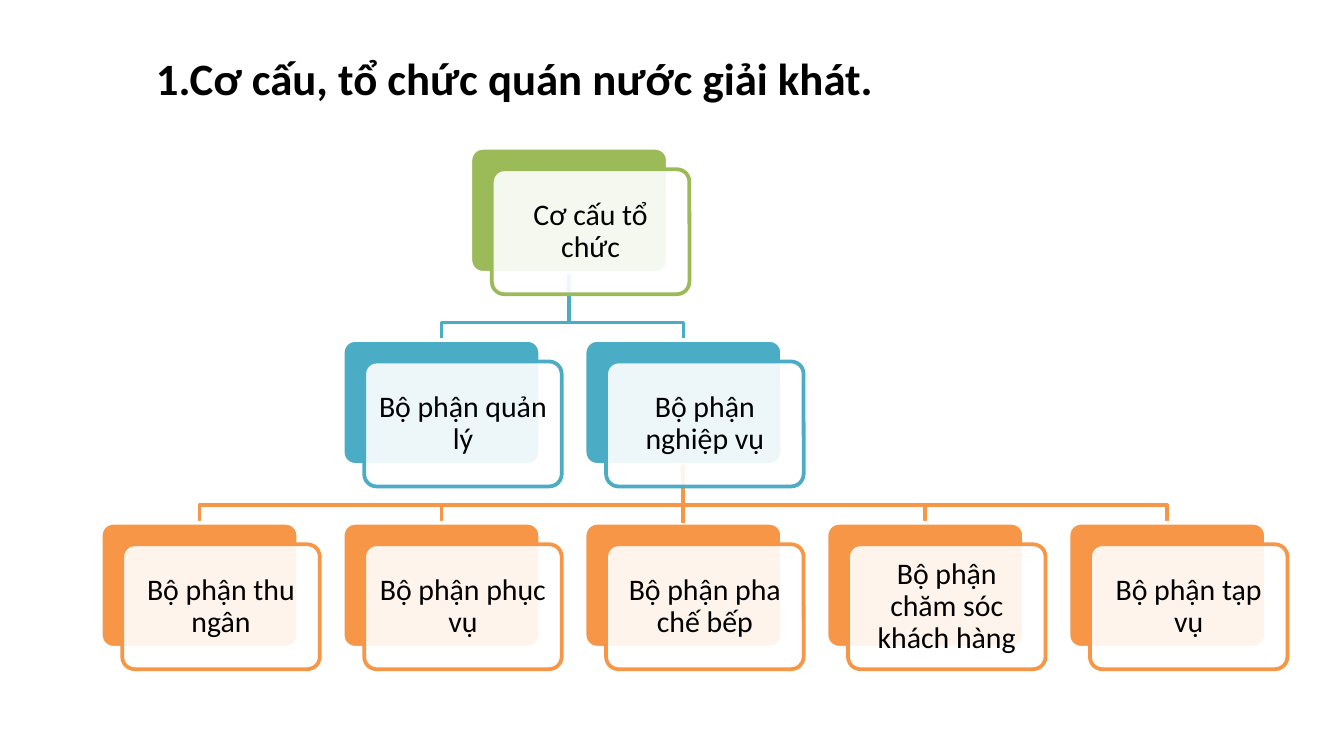
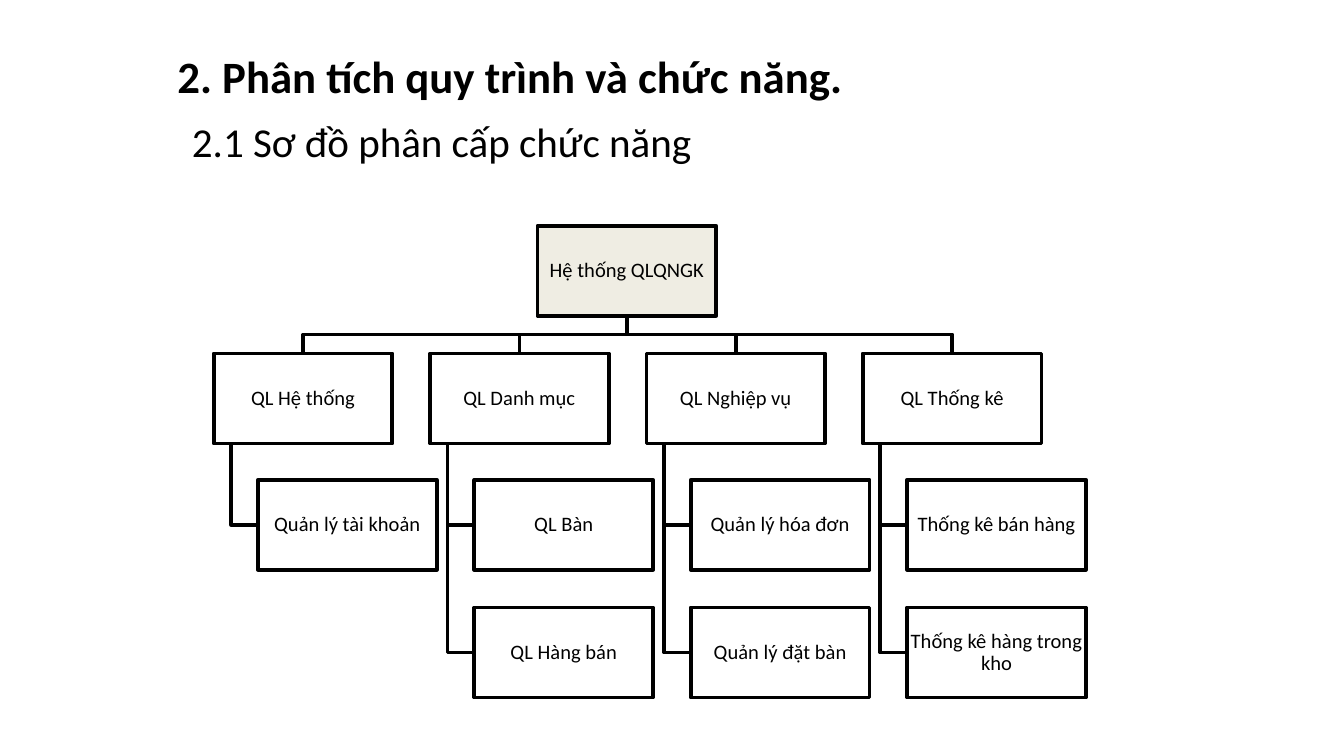
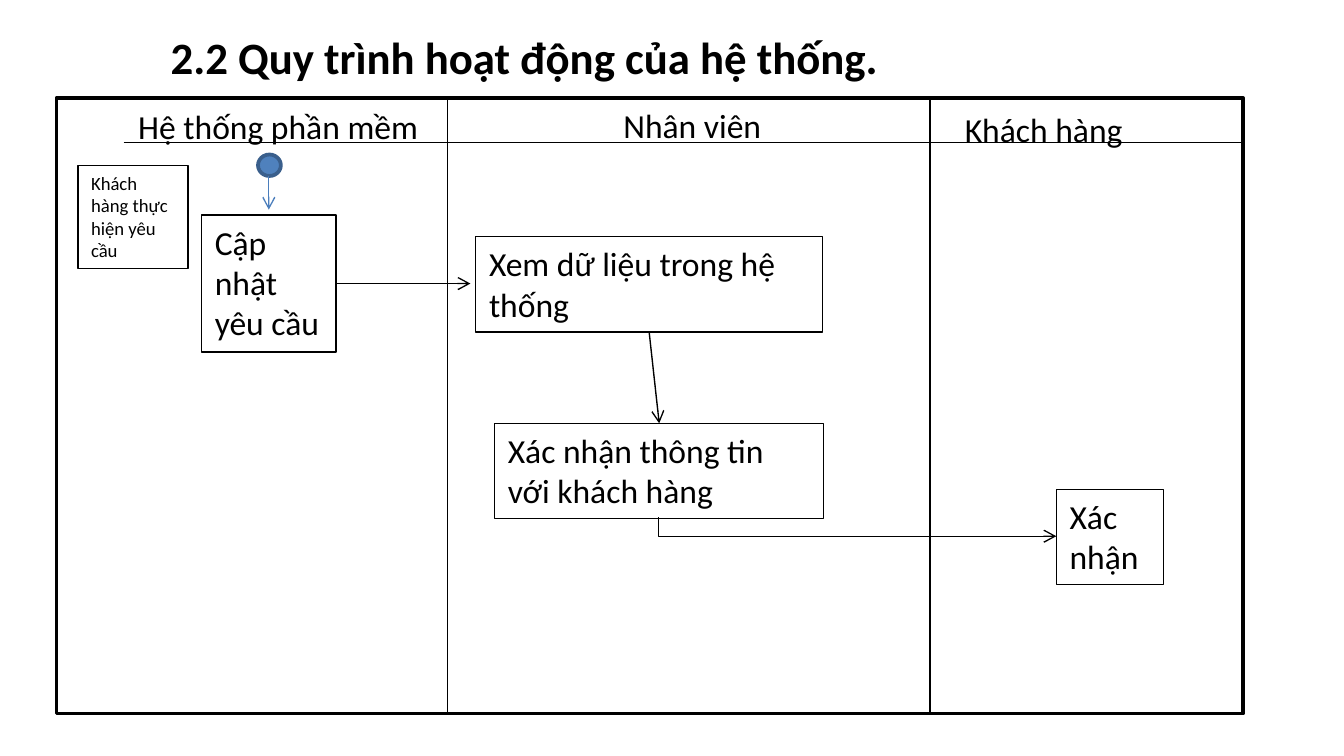
from dataclasses import dataclass

from lxml.etree import SubElement
from pptx import Presentation
from pptx.dml.color import RGBColor
from pptx.enum.shapes import MSO_CONNECTOR as Connector, MSO_SHAPE as Shape
from pptx.enum.text import MSO_ANCHOR as Anchor, MSO_AUTO_SIZE as AutoSize, PP_ALIGN as Align
from pptx.oxml.ns import qn
from pptx.util import Inches, Pt


@dataclass(frozen=True)
class Theme:
    font: str = "Calibri"
    black: str = "000000"
    white: str = "FFFFFF"
    green: str = "9BBB59"
    teal: str = "4BACC6"
    orange: str = "F79646"
    cream: str = "EEECE1"
    blue: str = "4F81BD"
    blue_edge: str = "3A5F8C"
    blue_arrow: str = "4B7EBC"
    title: int = 24
    subtitle: int = 22
    lane: int = 18
    department: int = 16
    function: int = 11
    note: int = 10
    thick: float = 2
    thin: float = 0.75


theme = Theme()


def write_text(shape, text, size, bold=False, align=Align.LEFT, spacing=1.0, inset=None, **frame_format):
    frame = shape.text_frame
    frame.text = text
    settings = {"word_wrap": True, "auto_size": AutoSize.NONE, "vertical_anchor": Anchor.TOP}
    if inset is not None:
        for side in ("left", "top", "right", "bottom"):
            settings[f"margin_{side}"] = Inches(inset)
    for name, value in (settings | frame_format).items():
        setattr(frame, name, value)
    paragraph = frame.paragraphs[0]
    paragraph.alignment = align
    paragraph.line_spacing = spacing
    font = paragraph.runs[0].font
    for name, value in {"name": theme.font, "size": Pt(size), "bold": bold}.items():
        setattr(font, name, value)
    font.color.rgb = RGBColor.from_string(theme.black)


def style_shape(shape, line, width, fill=None, opacity=100, arrow=False):
    properties = shape.element.spPr
    if fill:
        shape.fill.solid()
        shape.fill.fore_color.rgb = RGBColor.from_string(fill)
        if opacity < 100:
            color = properties.find(qn("a:solidFill")).find(qn("a:srgbClr"))
            SubElement(color, qn("a:alpha"), val=str(opacity * 1000))
    elif hasattr(shape, "fill"):
        shape.fill.background()
    shape.line.color.rgb = RGBColor.from_string(line)
    shape.line.width = Pt(width)
    if arrow:
        SubElement(properties.find(qn("a:ln")), qn("a:tailEnd"), type="arrow")
    if hasattr(shape, "shadow"):
        shape.shadow.inherit = False
    else:
        SubElement(properties, qn("a:effectLst"))


presentation = Presentation()
presentation.slide_width = Inches(10)
presentation.slide_height = Inches(10) * 9 // 16

slides = []
for text, left, top, width in [
    ("1.Cơ cấu, tổ chức quán nước giải khát.", 1.06, 0.33, 6.77),
    ("2. Phân tích quy trình và chức năng.", 1.22, 0.31, 8.08),
    ("2.2 Quy trình hoạt động của hệ thống.", 1.17, 0.17, 8.08),
]:
    slide = presentation.slides.add_slide(presentation.slide_layouts[5])
    title = slide.shapes.title
    for name, value in {"left": left, "top": top, "width": width, "height": 0.5}.items():
        setattr(title, name, Inches(value))
    write_text(title, text, theme.title, bold=True)
    slides.append(slide)
structure, functions, workflow = slides

card_width, card_height, card_offset = 1.47, 0.93, 0.16
columns = [0.75 + 1.8 * index for index in range(5)]
departments = [("Cơ cấu tổ chức", 3.5, 1.1, theme.green, None)]
for text, column in [("Bộ phận quản lý", 1), ("Bộ phận nghiệp vụ", 2)]:
    departments.append((text, columns[column], 2.53, theme.teal, 0))
for text, left in zip(
    ["Bộ phận thu ngân", "Bộ phận phục vụ", "Bộ phận pha chế bếp",
     "Bộ phận chăm sóc khách hàng", "Bộ phận tạp vụ"], columns):
    departments.append((text, left, 3.89, theme.orange, 2))

box_width, box_height, box_indent = 1.33, 0.67, 0.33
root_left, root_top = 4, 1.68
row_tops = [2.63, 3.57, 4.52]
groups = [
    ["QL Hệ thống", "Quản lý tài khoản"],
    ["QL Danh mục", "QL Bàn", "QL Hàng bán"],
    ["QL Nghiệp vụ", "Quản lý hóa đơn", "Quản lý đặt bàn"],
    ["QL Thống kê", "Thống kê bán hàng", "Thống kê hàng trong kho"],
]

elbows = []
for text, left, top, color, parent in departments:
    if parent is not None and departments[parent][1] != left:
        start_x = departments[parent][1] + card_width / 2
        start_y = departments[parent][2] + card_height
        end_x, bend_y = left + card_width / 2, top - 0.13
        elbows.append((structure, color, [(start_x, start_y), (start_x, bend_y), (end_x, bend_y), (end_x, top)]))

boxes = [("Hệ thống QLQNGK", root_left, root_top, theme.cream)]
root_x, root_bottom = root_left + box_width / 2, root_top + box_height
for index, group in enumerate(groups):
    left = 1.59 + 1.61 * index
    head_x, trunk_x = left + box_width / 2, left + 0.13
    elbows.append((functions, theme.black, [(root_x, root_bottom), (root_x, 2.49), (head_x, 2.49), (head_x, row_tops[0])]))
    for row, text in enumerate(group):
        box_left = left + (box_indent if row else 0)
        boxes.append((text, box_left, row_tops[row], theme.white))
        if row:
            middle = row_tops[row] + box_height / 2
            elbows.append((functions, theme.black, [(trunk_x, row_tops[0] + box_height), (trunk_x, middle), (box_left, middle)]))

for slide, color, points in elbows:
    start, *rest = [(Inches(x), Inches(y)) for x, y in points]
    builder = slide.shapes.build_freeform(*start)
    builder.add_line_segments(rest, close=False)
    style_shape(builder.convert_to_shape(), color, theme.thick)

cards = []
for text, left, top, color, parent in departments:
    card = structure.shapes.add_shape(
        Shape.ROUNDED_RECTANGLE, Inches(left), Inches(top), Inches(card_width), Inches(card_height))
    card.adjustments[0] = 0.1
    style_shape(card, theme.white, theme.thick, color)
    cards.append(card)

kitchen_line = structure.shapes.add_connector(Connector.STRAIGHT, 0, 0, 0, 0)
kitchen_line.begin_connect(cards[2], 2)
kitchen_line.end_connect(cards[5], 0)
style_shape(kitchen_line, theme.orange, theme.thick)

for text, left, top, color, parent in departments:
    label = structure.shapes.add_shape(
        Shape.ROUNDED_RECTANGLE, Inches(left + card_offset), Inches(top + card_offset),
        Inches(card_width), Inches(card_height))
    label.adjustments[0] = 0.1
    style_shape(label, color, theme.thick, theme.white, opacity=90)
    write_text(label, text, theme.department, align=Align.CENTER, spacing=0.9, inset=0.07,
               vertical_anchor=Anchor.MIDDLE)

subtitle = functions.shapes.add_textbox(Inches(1.33), Inches(0.82), Inches(3.95), Inches(0.47))
write_text(subtitle, "2.1 Sơ đồ phân cấp chức năng", theme.subtitle, word_wrap=False)

for text, left, top, fill in boxes:
    box = functions.shapes.add_shape(
        Shape.RECTANGLE, Inches(left), Inches(top), Inches(box_width), Inches(box_height))
    style_shape(box, theme.black, theme.thick, fill, opacity=90)
    write_text(box, text, theme.function, align=Align.CENTER, spacing=0.9, inset=0.01,
               vertical_anchor=Anchor.MIDDLE)

frame_left, frame_top, frame_right, frame_bottom = 0.42, 0.73, 9.25, 5.31
lane_frame = workflow.shapes.add_shape(
    Shape.RECTANGLE, Inches(frame_left), Inches(frame_top),
    Inches(frame_right - frame_left), Inches(frame_bottom - frame_top))
style_shape(lane_frame, theme.black, theme.thick)

for text, left, top, width in [
    ("Nhân viên", 4.54, 0.73, 1.33),
    ("Hệ thống phần mềm", 0.93, 0.74, 2.75),
    ("Khách hàng", 7.08, 0.76, 1.58),
]:
    lane_name = workflow.shapes.add_textbox(Inches(left), Inches(top), Inches(width), Inches(0.4))
    write_text(lane_name, text, theme.lane)

start_dot = workflow.shapes.add_shape(Shape.OVAL, Inches(1.92), Inches(1.15), Inches(0.17), Inches(0.16))
style_shape(start_dot, theme.blue_edge, theme.thick, theme.blue)

steps = []
for text, left, top, width, height, size in [
    ("Khách hàng thực hiện yêu cầu", 0.58, 1.23, 0.82, 0.77, theme.note),
    ("Cập nhật yêu cầu", 1.5, 1.6, 1, 1.02, theme.lane),
    ("Xem dữ liệu trong hệ thống", 3.54, 1.76, 2.58, 0.71, theme.lane),
    ("Xác nhận thông tin với khách hàng", 3.68, 3.15, 2.45, 0.71, theme.lane),
    ("Xác nhận", 7.86, 3.64, 0.8, 0.71, theme.lane),
]:
    step = workflow.shapes.add_shape(Shape.RECTANGLE, Inches(left), Inches(top), Inches(width), Inches(height))
    style_shape(step, theme.black, theme.thin)
    write_text(step, text, size)
    steps.append(step)
request, update, review, confirm, accept = steps

for start, end, color, arrow, source, target in [
    ((3.33, frame_top), (3.33, frame_bottom), theme.black, False, None, None),
    ((6.92, frame_top), (6.92, frame_bottom), theme.black, False, None, None),
    ((0.92, 1.06), (frame_right, 1.06), theme.black, False, None, None),
    ((2, 1.31), (2, 1.56), theme.blue_arrow, True, None, None),
    ((2.5, 2.11), (3.5, 2.11), theme.black, True, (update, 3), None),
    ((4.83, 2.46), (4.9, 3.15), theme.black, True, (review, 2), (confirm, 0)),
]:
    connector = workflow.shapes.add_connector(
        Connector.STRAIGHT, *[Inches(value) for value in start + end])
    if source:
        connector.begin_connect(*source)
    if target:
        connector.end_connect(*target)
    style_shape(connector, color, theme.thin, arrow=arrow)

handover = workflow.shapes.add_connector(Connector.ELBOW, 0, 0, 0, 0)
handover.begin_connect(confirm, 2)
handover.end_connect(accept, 1)
for name, value in {"left": 6.31, "top": 2.44, "width": 0.14, "height": 2.96}.items():
    setattr(handover, name, Inches(value))
transform = handover.element.spPr.find(qn("a:xfrm"))
for name, value in {"rot": "16200000", "flipH": "1", "flipV": "0"}.items():
    transform.set(name, value)
handover.element.spPr.find(qn("a:prstGeom")).set("prst", "bentConnector2")
style_shape(handover, theme.black, theme.thin, arrow=True)

presentation.save("out.pptx")
